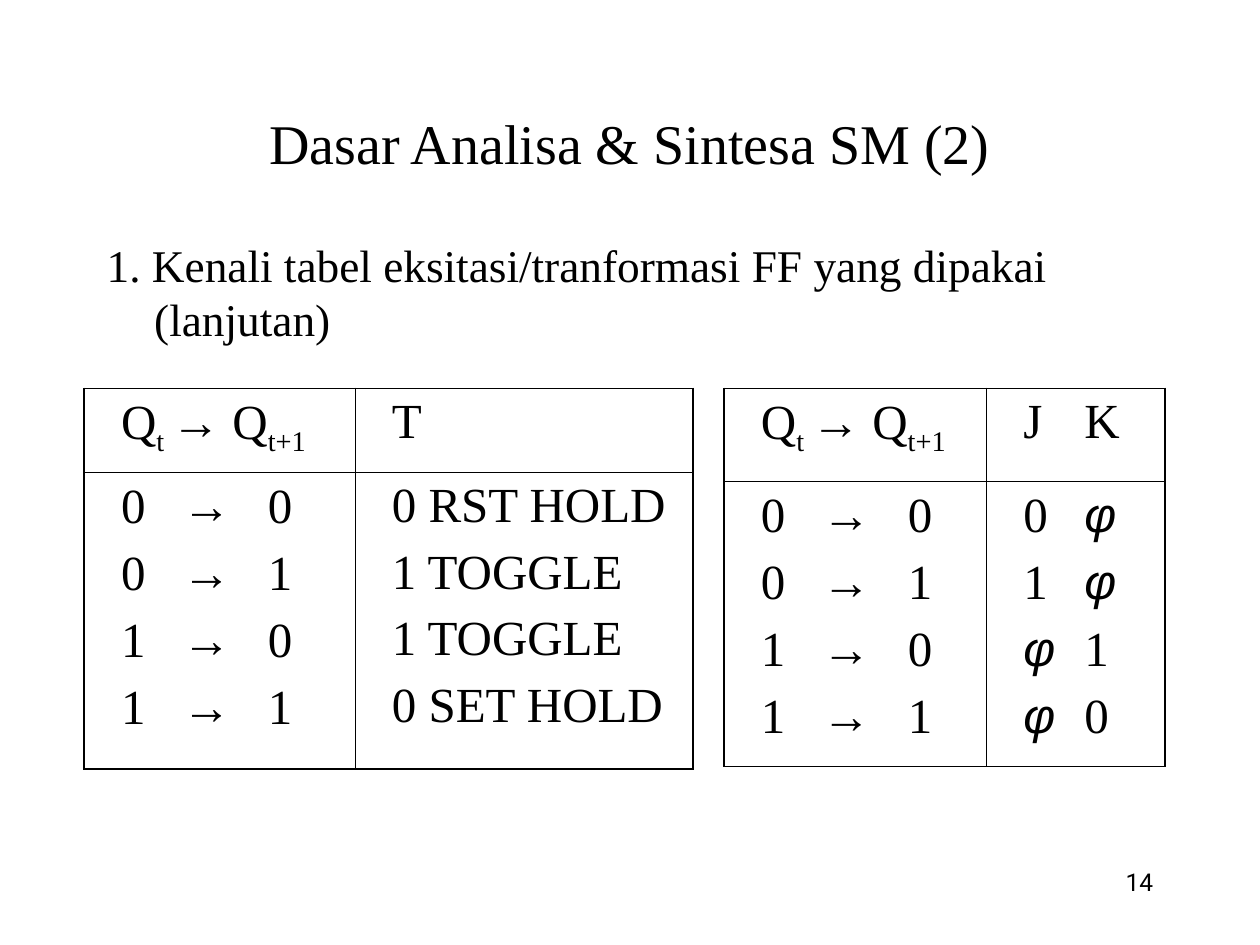
from lxml.etree import SubElement
from pptx import Presentation
from pptx.dml.color import RGBColor
from pptx.enum.text import MSO_ANCHOR, PP_ALIGN
from pptx.oxml import parse_xml
from pptx.oxml.ns import nsdecls, qn
from pptx.util import Cm, Pt

BLACK = RGBColor(0x00, 0x00, 0x00)
SERIF, SANS, NUMBER_FONT = "Times New Roman", "Arial", "Roboto"
TABLE_SIZE = 28
OUTER, INNER = Pt(1.08), Pt(0.45)
SYMBOLS = "→φ"

# Columns inside a cell
STATE_TABS = (1.23, 2.96)
INPUT_TABS = (1.23,)

# Header and body content
STATE_HEADER = [("Q", False), ("t ", True), ("→", False), (" Q", False), ("t+1", True)]
TRANSITIONS = ["0\t→\t0", "0\t→\t1", "1\t→\t0", "1\t→\t1"]
T_INPUTS = ["0 RST HOLD", "1 TOGGLE", "1 TOGGLE", "0 SET HOLD"]
JK_INPUTS = ["0\tφ", "1\tφ", "φ\t1", "φ\t0"]


def write(paragraph, text, size=TABLE_SIZE, font=SERIF, italic=False, subscript=False):
    run = paragraph.add_run()
    run.text = text
    run.font.size = Pt(size)
    run.font.name = font
    run.font.italic = italic
    run.font.color.rgb = BLACK
    if subscript:
        run.font._element.set("baseline", "-25000")


def add_text(slide, text, left, top, width, height, align=PP_ALIGN.LEFT,
             anchor=MSO_ANCHOR.TOP, hanging=0, **format):
    frame = slide.shapes.add_textbox(Cm(left), Cm(top), Cm(width), Cm(height)).text_frame
    frame.word_wrap = True
    frame.vertical_anchor = anchor
    paragraph = frame.paragraphs[0]
    paragraph.alignment = align
    if hanging:
        properties = paragraph._p.get_or_add_pPr()
        properties.set("marL", str(Cm(hanging)))
        properties.set("indent", str(-Cm(hanging)))
    write(paragraph, text, **format)


def set_tabs(paragraph, positions):
    tab_list = SubElement(paragraph._p.get_or_add_pPr(), qn("a:tabLst"))
    for position in positions:
        SubElement(tab_list, qn("a:tab"), pos=str(Cm(position)), algn="l")


def fill_lines(cell, lines, tabs):
    frame = cell.text_frame
    for index, line in enumerate(lines):
        paragraph = frame.add_paragraph() if index else frame.paragraphs[0]
        if index:
            paragraph.space_before = Pt(7)
        set_tabs(paragraph, tabs)
        # Symbols take the sans font, everything else the serif one
        for char in split_symbols(line):
            is_symbol = char in SYMBOLS
            write(paragraph, char, font=SANS if is_symbol else SERIF, italic=char == "φ")


def split_symbols(line):
    for symbol in SYMBOLS:
        line = line.replace(symbol, f"|{symbol}|")
    return [part for part in line.split("|") if part]


def set_borders(cell, row, column):
    widths = {
        "lnL": INNER if column else OUTER,
        "lnR": OUTER if column else INNER,
        "lnT": INNER if row else OUTER,
        "lnB": OUTER if row else INNER,
    }
    properties = cell._tc.get_or_add_tcPr()
    for index, (side, width) in enumerate(widths.items()):
        properties.insert(index, parse_xml(
            f'<a:{side} {nsdecls("a")} w="{width}"><a:solidFill>'
            f'<a:srgbClr val="{BLACK}"/></a:solidFill></a:{side}>'))


def add_excitation_table(slide, left, columns, rows, input_header, inputs):
    table = slide.shapes.add_table(2, 2, Cm(left), Cm(7.83),
                                   Cm(sum(columns)), Cm(sum(rows))).table
    table.first_row = table.horz_banding = False
    for column, width in zip(table.columns, columns):
        column.width = Cm(width)
    for row, height in zip(table.rows, rows):
        row.height = Cm(height)
    for row in range(2):
        for column in range(2):
            cell = table.cell(row, column)
            cell.margin_left = Cm(0.74)
            cell.fill.background()
            set_borders(cell, row, column)

    # Header row
    state_paragraph = table.cell(0, 0).text_frame.paragraphs[0]
    for text, subscript in STATE_HEADER:
        write(state_paragraph, text, font=SANS if text in SYMBOLS else SERIF,
              subscript=subscript)
    fill_lines(table.cell(0, 1), [input_header], INPUT_TABS)

    # Body row
    fill_lines(table.cell(1, 0), TRANSITIONS, STATE_TABS)
    fill_lines(table.cell(1, 1), inputs, INPUT_TABS)


def main():
    presentation = Presentation()
    presentation.slide_width, presentation.slide_height = Cm(25.4), Cm(19.05)
    slide = presentation.slides.add_slide(presentation.slide_layouts[6])

    # Title and topic
    add_text(slide, "Dasar Analisa & Sintesa SM (2)", 1.9, 1.7, 21.6, 2.34,
             align=PP_ALIGN.CENTER, anchor=MSO_ANCHOR.MIDDLE, size=32)
    add_text(slide, "1. Kenali tabel eksitasi/tranformasi FF yang dipakai (lanjutan)",
             1.9, 4.65, 21.39, 2.54, hanging=0.96, size=25.9)

    # Excitation tables of the JK and T flip-flops
    add_excitation_table(slide, 14.6, (5.29, 3.6), (1.88, 5.74), "J\tK", JK_INPUTS)
    add_excitation_table(slide, 1.7, (5.46, 6.81), (1.7, 5.97), "T", T_INPUTS)

    # Page number
    add_text(slide, "14", 18.2, 17.35, 5.3, 1.27,
             align=PP_ALIGN.RIGHT, size=14, font=NUMBER_FONT)

    presentation.save("out.pptx")


if __name__ == "__main__":
    main()
